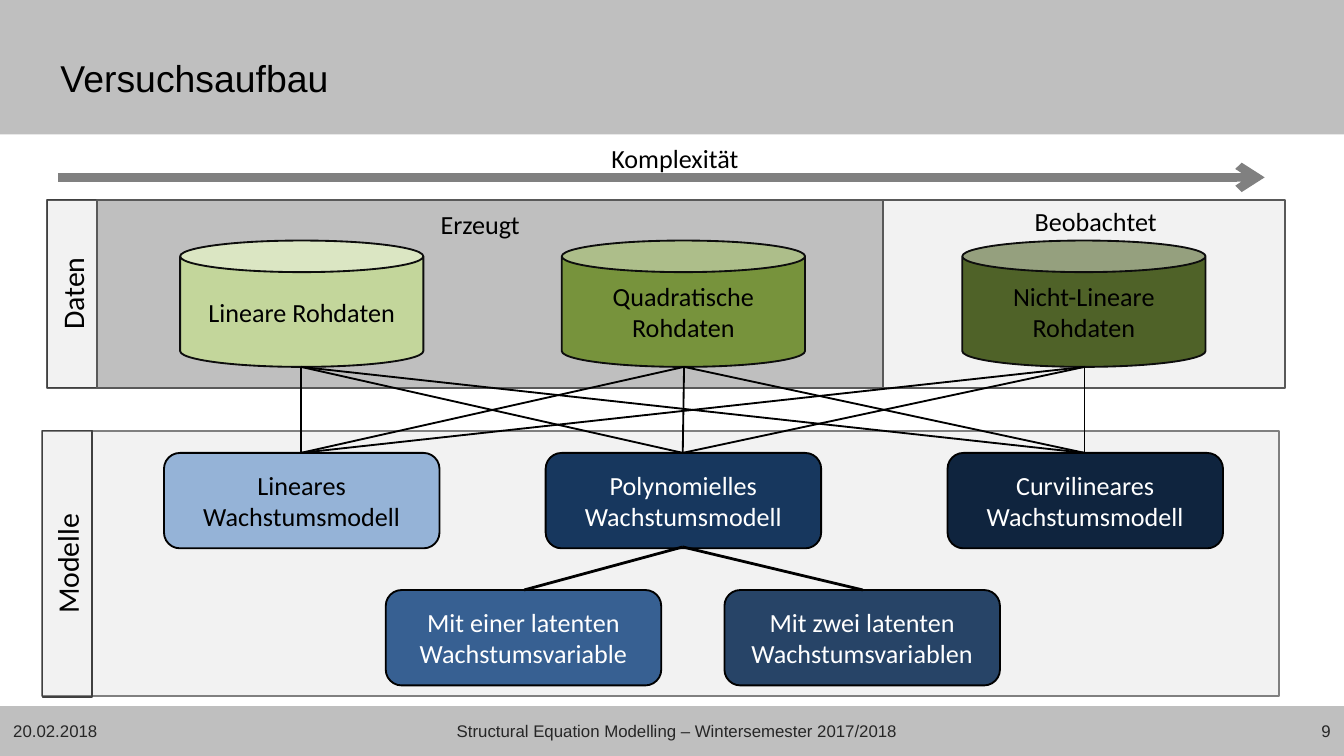
import pptx
import pptx.util
import pptx.dml.color
import pptx.enum.shapes
import pptx.enum.text
import pptx.oxml.ns
import lxml.etree

Inches = pptx.util.Inches
Pt = pptx.util.Pt
kind = pptx.enum.shapes.MSO_SHAPE
side = pptx.enum.text.PP_ALIGN
hold = pptx.enum.text.MSO_ANCHOR


def tint(part, code):
    if hasattr(part, "solid"):
        part.solid()
        part = part.fore_color
    part.rgb = pptx.dml.color.RGBColor.from_string(code)


def draw(form, box, fill=None, edge=None, text="", size=14, ink="000000",
         font="Calibri", align=side.CENTER, anchor=hold.MIDDLE, wrap=True):
    place = [Inches(n) for n in box]
    if form is None:
        shape = slide.shapes.add_textbox(*place)
    else:
        shape = slide.shapes.add_shape(form, *place)
        shape.shadow.inherit = False
        if fill:
            tint(shape.fill, fill)
        else:
            shape.fill.background()
        if edge:
            tint(shape.line.fill, edge[0])
            shape.line.width = Pt(edge[1])
        else:
            shape.line.fill.background()
    if text:
        frame = shape.text_frame
        frame.word_wrap = wrap
        frame.vertical_anchor = anchor
        para = frame.paragraphs[0]
        para.alignment = align
        run = para.add_run()
        run.text = text
        run.font.size = Pt(size)
        run.font.name = font
        tint(run.font.color, ink)
    return shape


deck = pptx.Presentation()
deck.slide_width = Inches(10)
deck.slide_height = Inches(10 * 9 / 16)
slide = deck.slides.add_slide(deck.slide_layouts[5])

base = deck.slide_height.inches - 0.37
for top, high in [(0, 1), (base, 0.37)]:
    draw(kind.RECTANGLE, (0, top, 10, high), "BFBFBF")

title = slide.shapes.title
title.left, title.top = Inches(0.35), Inches(0.23)
title.width, title.height = Inches(8.43), Inches(0.7)
title.text_frame.vertical_anchor = hold.MIDDLE
para = title.text_frame.paragraphs[0]
para.alignment = side.LEFT
run = para.add_run()
run.text = "Versuchsaufbau"
run.font.size = Pt(20)
run.font.name = "Arial"
tint(run.font.color, "000000")
tree = slide.shapes._spTree
tree.remove(title._element)
tree.append(title._element)

for left, wide, align, text in [
    (0, 0.91, side.LEFT, "20.02.2018"),
    (1.06, 7.95, side.CENTER, "Structural Equation Modelling – Wintersemester 2017/2018"),
    (9.09, 0.91, side.RIGHT, "9"),
]:
    draw(None, (left, 5.32, wide, 0.24), text=text, size=9, ink="262626",
         font="Arial", align=align)

draw(kind.RECTANGLE, (0.35, 1.49, 9.21, 1.4), "F2F2F2", ("595959", 1))
draw(kind.RECTANGLE, (0.31, 3.21, 9.21, 1.97), "F2F2F2", ("808080", 1))
for left, top, wide, text in [(-0.16, 2, 1.4, "Daten"), (-0.49, 4.01, 1.98, "Modelle")]:
    label = draw(kind.RECTANGLE, (left, top, wide, 0.37), edge=("404040", 0.75),
                 text=text, size=16, anchor=hold.TOP)
    label.rotation = 270
draw(kind.RECTANGLE, (0.72, 1.49, 5.85, 1.4), "BFBFBF", ("595959", 1))

for left, fill, text in [
    (1.34, "C3D69B", "Lineare Rohdaten"),
    (4.18, "77933C", "Quadratische Rohdaten"),
    (7.16, "4F6228", "Nicht-Lineare Rohdaten"),
]:
    draw(kind.CAN, (left, 1.79, 1.81, 0.94), fill, ("0D0D0D", 1), text)

for left, top, wide, text in [
    (3.18, 1.5, 0.8, "Erzeugt"),
    (7.6, 1.48, 1.12, "Beobachtet"),
    (4.45, 1.01, 1.16, "Komplexität"),
]:
    draw(None, (left, top, wide, 0.34), text=text, align=side.LEFT,
         anchor=hold.TOP, wrap=False)

for left, top, fill, ink, text in [
    (1.22, 3.37, "95B3D7", "000000", "Lineares Wachstumsmodell"),
    (4.06, 3.37, "17375E", "FFFFFF", "Polynomielles Wachstumsmodell"),
    (7.05, 3.37, "0F243E", "FFFFFF", "Curvilineares Wachstumsmodell"),
    (2.87, 4.39, "376092", "FFFFFF", "Mit einer latenten Wachstumsvariable"),
    (5.39, 4.39, "274467", "FFFFFF", "Mit zwei latenten Wachstumsvariablen"),
]:
    draw(kind.FLOWCHART_ALTERNATE_PROCESS, (left, top, 2.05, 0.71), fill,
         ("000000", 1), text, ink=ink)

lines = [(5.08, 4.07, end, 4.39, "000000", 1.5) for end in (3.9, 6.42)]
for start in (2.24, 5.09, 8.07):
    for end in (2.24, 5.08, 8.07):
        lines.append((start, 2.73, end, 3.37, "000000", 1))
lines.append((0.43, 1.32, 9.41, 1.32, "808080", 4.5))

for *ends, code, thick in lines:
    link = slide.shapes.add_connector(
        pptx.enum.shapes.MSO_CONNECTOR.STRAIGHT, *[Inches(n) for n in ends])
    tint(link.line.fill, code)
    link.line.width = Pt(thick)
    lxml.etree.SubElement(link._element.spPr, pptx.oxml.ns.qn("a:effectLst"))

edge = link._element.spPr.find(pptx.oxml.ns.qn("a:ln"))
tip = lxml.etree.SubElement(edge, pptx.oxml.ns.qn("a:tailEnd"))
tip.set("type", "arrow")

deck.save("out.pptx")
